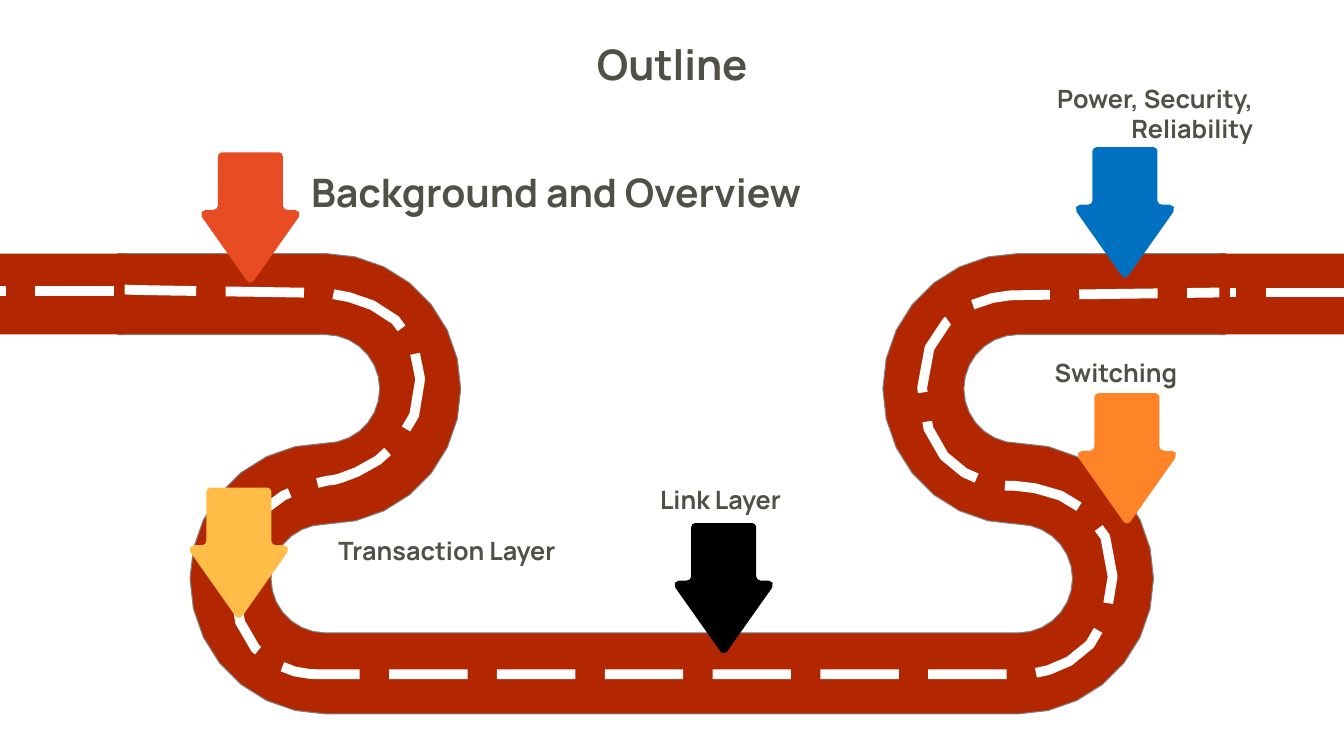
import math

from lxml import etree
from pptx import Presentation
from pptx import util as u
from pptx.dml.color import RGBColor
from pptx.enum import dml, shapes, text
from pptx.oxml import ns

ROAD = RGBColor(0xB2, 0x26, 0x00)
EDGE = RGBColor(0x80, 0x80, 0x80)
WHITE = RGBColor(0xFF, 0xFF, 0xFF)
INK = RGBColor(0x50, 0x50, 0x46)
RED = RGBColor(0xE8, 0x4C, 0x22)
YELLOW = RGBColor(0xFF, 0xBD, 0x47)
BLACK = RGBColor(0x00, 0x00, 0x00)
ORANGE = RGBColor(0xFF, 0x84, 0x27)
BLUE = RGBColor(0x00, 0x70, 0xC0)

FONT = "Manrope"
WIDTH, HEIGHT = 33.87, 19.05
ROAD_BOX = (2.97, 6.39, 27.92, 11.6)
OUTER, INNER = 3.41, 1.37
LANE = OUTER - INNER
BEND_INSET = 5.23

CENTRE_START = (0, 0.9)
CENTRE_CURVES = [
    ((0.03, 0.93), (5.18, 0.98), (5.18, 1.0)),
    ((5.21, 1.0), (7.62, 1.08), (7.62, 3.16)),
    ((7.65, 5.24), (5.46, 5.7), (5.46, 5.7)),
    ((5.46, 5.7), (2.87, 5.9), (2.92, 8.29)),
    ((2.95, 10.68), (4.98, 10.6), (5.01, 10.6)),
    ((5.06, 10.6), (22.79, 10.6), (22.86, 10.6)),
    ((22.91, 10.6), (25.05, 10.55), (25.07, 8.14)),
    ((25.1, 5.75), (22.43, 5.85), (22.4, 5.85)),
    ((22.4, 5.85), (20.27, 5.8), (20.27, 3.39)),
    ((20.3, 0.98), (22.63, 1.05), (22.66, 1.05)),
    ((22.68, 1.05), (27.92, 0.98), (27.92, 0.98)),
]

ARROWS = [
    (6.31, 3.84, RED),
    (6.02, 12.29, YELLOW),
    (18.24, 13.18, BLACK),
    (28.4, 9.91, ORANGE),
    (28.35, 3.71, BLUE),
]

LEFT, RIGHT = text.PP_ALIGN.LEFT, text.PP_ALIGN.RIGHT
LABELS = [
    ("Switching", (26.14, 8.86, 3.78, 1.02), 18, RIGHT),
    ("Background and Overview", (7.59, 4.11, 14.12, 1.45), 28, LEFT),
    ("Link Layer", (16.15, 12.07, 3.78, 1.02), 18, RIGHT),
    ("Transaction Layer", (8.28, 13.36, 6.45, 1.02), 18, LEFT),
    ("Power, Security, Reliability", (24.31, 1.96, 7.52, 1.78), 18, RIGHT),
]


def bezier(start, first, second, end, steps=2):
    points = []
    for step in range(1, steps + 1):
        t = step / steps
        weights = ((1 - t) ** 3, 3 * t * (1 - t) ** 2, 3 * t * t * (1 - t), t ** 3)
        controls = (start, first, second, end)
        points.append(tuple(sum(w * c[axis] for w, c in zip(weights, controls))
                            for axis in (0, 1)))
    return points


def arc(centre, radius, begin, end, steps=14):
    angles = [math.radians(begin + (end - begin) * i / steps) for i in range(steps + 1)]
    return [(centre[0] + radius * math.cos(a), centre[1] + radius * math.sin(a))
            for a in angles]


def add_outline(page, points, close=True):
    corners = [(u.Cm(x), u.Cm(y)) for x, y in points]
    builder = page.shapes.build_freeform(*corners[0], scale=1.0)
    builder.add_line_segments(corners[1:], close=close)
    outline = builder.convert_to_shape()
    outline.shadow.inherit = False
    return outline


def fill_plain(shape, colour):
    shape.shadow.inherit = False
    shape.fill.solid()
    shape.fill.fore_color.rgb = colour
    shape.line.fill.background()


def dash_white(line):
    line.color.rgb = WHITE
    line.width = u.Pt(7)
    line.dash_style = dml.MSO_LINE.LONG_DASH


def add_road(page, box):
    left, top, width, height = box
    right = left + width
    west, east = left + BEND_INSET, right - BEND_INSET
    upper, lower = top + OUTER, top + height - OUTER
    points = [
        (left, top),
        *arc((west, upper), OUTER, -90, 90),
        *arc((west, lower), INNER, -90, -270),
        *arc((east, lower), INNER, 90, -90),
        *arc((east, upper), OUTER, 90, 270),
        (right, top),
        (right, top + LANE),
        *arc((east, upper), INNER, 270, 90),
        *arc((east, lower), OUTER, -90, 90),
        *arc((west, lower), OUTER, 90, 270),
        *arc((west, upper), INNER, 90, -90),
        (left, top + LANE),
    ]
    road = add_outline(page, points)
    fill_plain(road, ROAD)
    road.line.color.rgb = EDGE
    road.line.width = u.Pt(0.75)

    centre = [CENTRE_START]
    for curve in CENTRE_CURVES:
        centre += bezier(centre[-1], *curve, steps=6)
    marking = add_outline(page, [(left + x, top + y) for x, y in centre], close=False)
    marking.fill.background()
    dash_white(marking.line)


def add_arrow(page, axis, top, colour):
    half = [
        (0.72, 0), *bezier((0.72, 0), (0.77, 0), (0.82, 0.05), (0.82, 0.1)),
        (0.82, 1.35), *bezier((0.82, 1.35), (0.82, 1.4), (0.87, 1.45), (0.93, 1.45)),
        (1.13, 1.45), *bezier((1.13, 1.45), (1.22, 1.45), (1.28, 1.54), (1.22, 1.63)),
        (0.09, 3.23), *bezier((0.09, 3.23), (0.07, 3.26), (0.03, 3.28), (0, 3.28)),
    ]
    mirrored = [(-x, y) for x, y in reversed(half[:-1])]
    fill_plain(add_outline(page, [(axis + x, top + y) for x, y in half + mirrored]), colour)


def add_road_end(page, box, line_start, line_end, line_top):
    block = page.shapes.add_shape(shapes.MSO_SHAPE.RECTANGLE, *map(u.Cm, box))
    fill_plain(block, ROAD)
    marking = page.shapes.add_connector(
        shapes.MSO_CONNECTOR.STRAIGHT,
        *map(u.Cm, (line_start, line_top, line_end, line_top)))
    dash_white(marking.line)
    etree.SubElement(marking._element.spPr, ns.qn("a:effectLst"))


def format_text(shape, words, size, align, anchor):
    frame = shape.text_frame
    frame.text = words
    frame.vertical_anchor = anchor
    para = frame.paragraphs[0]
    para.alignment = align
    span = para.runs[0]
    span.font.name = FONT
    span.font.size = u.Pt(size)
    span.font.bold = True
    span.font.color.rgb = INK


def add_title(page, box):
    title = page.shapes.title
    title.left, title.top, title.width, title.height = map(u.Cm, box)
    format_text(title, "Outline", 30, text.PP_ALIGN.CENTER, text.MSO_ANCHOR.TOP)
    title.text_frame.word_wrap = False
    title.text_frame.auto_size = text.MSO_AUTO_SIZE.SHAPE_TO_FIT_TEXT


def add_label(page, words, box, size, align):
    label = page.shapes.add_textbox(*map(u.Cm, box))
    label.text_frame.word_wrap = True
    format_text(label, words, size, align, text.MSO_ANCHOR.BOTTOM)


def main():
    deck = Presentation()
    deck.slide_width, deck.slide_height = u.Cm(WIDTH), u.Cm(HEIGHT)
    page = deck.slides.add_slide(deck.slide_layouts[5])
    add_title(page, (14.68, 0.84, 4.52, 1.55))
    add_road(page, ROAD_BOX)
    for arrow in ARROWS:
        add_arrow(page, *arrow)
    end_width = 3.14
    add_road_end(page, (WIDTH - end_width, 6.39, end_width, LANE), WIDTH, 30.99, 7.37)
    add_road_end(page, (0, 6.39, end_width, LANE), 2.87, 0, 7.34)
    for label in LABELS:
        add_label(page, *label)
    deck.save("out.pptx")


if __name__ == "__main__":
    main()
